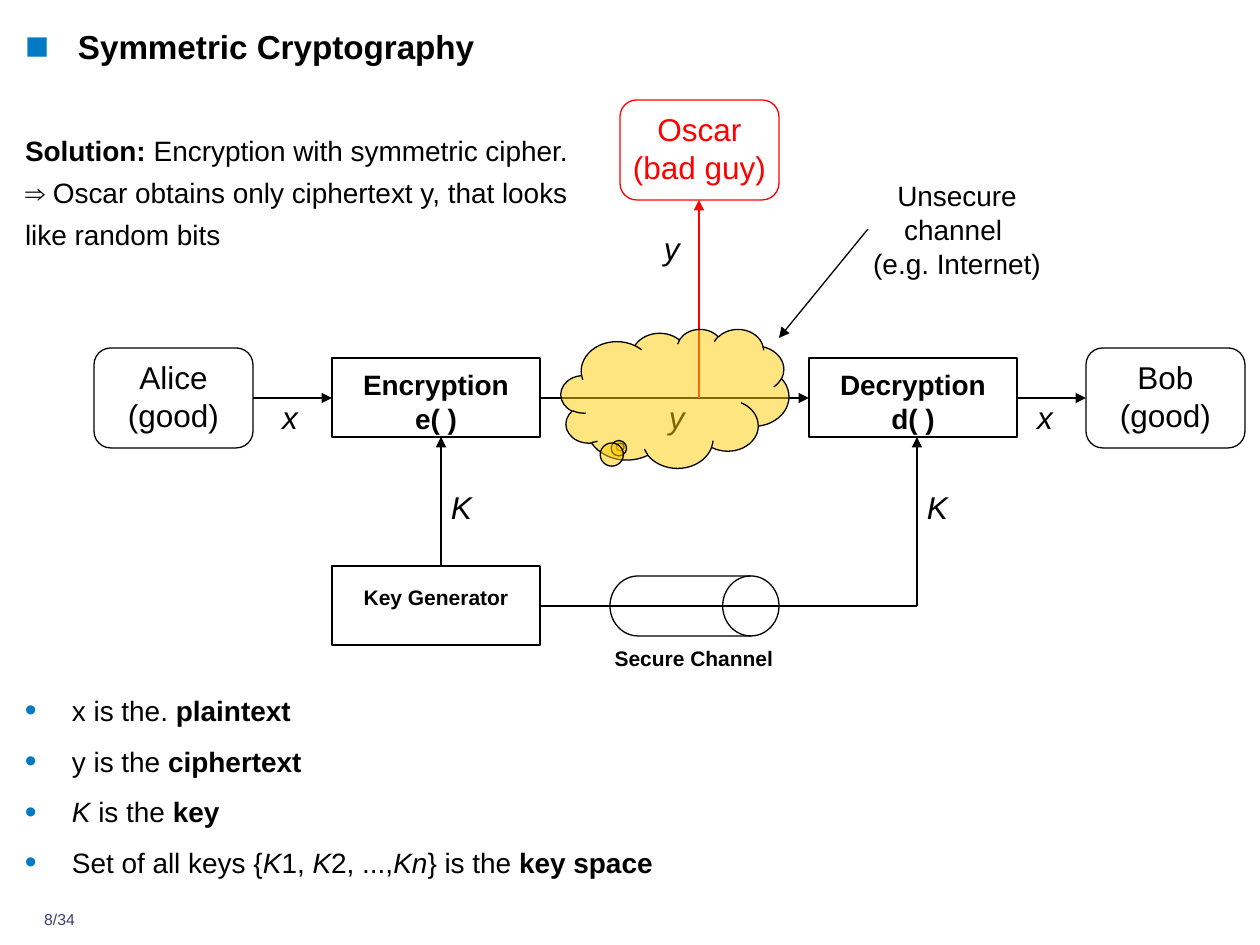
from lxml import etree
from pptx import Presentation
from pptx.dml.color import RGBColor
from pptx.enum.shapes import MSO_CONNECTOR, MSO_SHAPE
from pptx.enum.text import MSO_ANCHOR, PP_ALIGN
from pptx.oxml.ns import qn
from pptx.util import Emu, Pt

PX_PER_INCH = 126
FONT = "Arial"
BLACK, RED, BLUE, YELLOW, WHITE, NAVY = (
    "000000", "FF0000", "007AC2", "FFCC00", "FFFFFF", "394073")
LEFT, CENTER = PP_ALIGN.LEFT, PP_ALIGN.CENTER
ROUNDED, RECT = MSO_SHAPE.ROUNDED_RECTANGLE, MSO_SHAPE.RECTANGLE
DRUM, CLOUD = MSO_SHAPE.FLOWCHART_DIRECT_ACCESS_STORAGE, MSO_SHAPE.CLOUD_CALLOUT
STRAIGHT = MSO_CONNECTOR.STRAIGHT

# Text is a list of paragraphs, each a list of (text, style) runs;
# style holds "b" for bold and "i" for italic.
TITLE = [[("Symmetric Cryptography", "b")]]
SOLUTION = [[
    ("Solution:", "b"),
    (" Encryption with symmetric cipher. \v"
     "⇒ Oscar obtains only ciphertext y, that looks like random bits", ""),
]]
DEFINITIONS = [
    [("x is the. ", ""), ("plaintext", "b")],
    [("y is the ", ""), ("ciphertext", "b")],
    [("K", "i"), (" is the ", ""), ("key", "b")],
    [("Set of all keys {", ""), ("K", "i"), ("1, ", ""), ("K", "i"), ("2, ...,", ""),
     ("Kn", "i"), ("} is the ", ""), ("key space", "b")],
]

# (label, left, top, colour)
PEOPLE_SIZE = (159, 100)
PEOPLE = [
    ("Alice\v(good)", 94, 348, BLACK),
    ("Bob\v(good)", 1086, 348, BLACK),
    ("Oscar\v(bad guy)", 620, 100, RED),
]
# (label, left, top, label offset, label height, point size)
BLOCK_SIZE = (208, 79)
BLOCKS = [
    ("Encryption\ve( )", 332, 358, 10, 67, 16),
    ("Key Generator", 332, 566, 19, 25, 12),
    ("Decryption\vd( )", 809, 358, 10, 67, 16),
]
# (start, end, colour, has arrowhead)
FLOW_Y, KEY_Y, BLOCK_BOTTOM = 398, 606, 437
FLOWS = [
    ((253, FLOW_Y), (332, FLOW_Y), BLACK, True),
    ((540, FLOW_Y), (809, FLOW_Y), BLACK, True),
    ((1017, FLOW_Y), (1086, FLOW_Y), BLACK, True),
    ((699, FLOW_Y), (699, 200), RED, True),
    ((441, 566), (441, BLOCK_BOTTOM), BLACK, True),
    ((540, KEY_Y), (917, KEY_Y), BLACK, False),
    ((917, KEY_Y), (917, BLOCK_BOTTOM), BLACK, True),
]
CHANNEL_POINTER = ((868, 229), (779, 338), BLACK, True)
# (symbol, left, top, width)
SYMBOLS = [
    ("K", 451, 488, 40), ("x", 282, 398, 16), ("y", 669, 398, 16),
    ("K", 927, 488, 40), ("x", 1037, 398, 16), ("y", 664, 229, 16),
]

prs = Presentation()
prs.slide_width, prs.slide_height = Emu(9144000), Emu(6858000)
slide = prs.slides.add_slide(prs.slide_layouts[6])


def px(length):
    return Emu(round(length * 914400 / PX_PER_INCH))


def rgb(color):
    return RGBColor.from_string(color)


def add_bullet(paragraph, char, indent):
    props = paragraph._p.get_or_add_pPr()
    props.set("marL", str(px(indent)))
    props.set("indent", str(-px(indent)))
    color = etree.SubElement(props, qn("a:buClr"))
    etree.SubElement(color, qn("a:srgbClr"), val=BLUE)
    etree.SubElement(props, qn("a:buSzPct"), val="120000")
    etree.SubElement(props, qn("a:buFont"), typeface=FONT)
    etree.SubElement(props, qn("a:buChar"), char=char)


def add_text(paragraphs, box, size, color=BLACK, align=LEFT, spacing=None,
             before=None, bullet=None, wrap=True):
    """Add a text box; bullet is a (character, indent) pair."""
    frame = slide.shapes.add_textbox(*map(px, box)).text_frame
    frame.word_wrap = wrap
    frame.vertical_anchor = MSO_ANCHOR.TOP
    frame.margin_left = frame.margin_top = frame.margin_right = frame.margin_bottom = 0
    for index, runs in enumerate(paragraphs):
        paragraph = frame.paragraphs[0] if index == 0 else frame.add_paragraph()
        paragraph.alignment = align
        paragraph.line_spacing = spacing
        paragraph.space_before = before
        if bullet:
            add_bullet(paragraph, *bullet)
        font = paragraph.font
        font.name, font.size, font.color.rgb = FONT, Pt(size), rgb(color)
        for text, style in runs:
            for part, line in enumerate(text.split("\v")):
                if part:
                    paragraph.add_line_break()
                run = paragraph.add_run()
                run.text = line
                run.font.name, run.font.size = FONT, Pt(size)
                run.font.color.rgb = rgb(color)
                run.font.bold, run.font.italic = "b" in style, "i" in style


def add_outline(kind, box, line=BLACK, fill=None):
    shape = slide.shapes.add_shape(kind, *map(px, box))
    shape.shadow.inherit = False
    shape.line.color.rgb, shape.line.width = rgb(line), Pt(0.75)
    if fill:
        shape.fill.solid()
        shape.fill.fore_color.rgb = rgb(fill)
    else:
        shape.fill.background()
    return shape


def add_flow(start, end, color, arrow):
    flow = slide.shapes.add_connector(STRAIGHT, *map(px, start + end))
    flow.line.color.rgb, flow.line.width = rgb(color), Pt(0.75)
    if arrow:
        etree.SubElement(flow.line._get_or_add_ln(), qn("a:tailEnd"), type="triangle")
    etree.SubElement(flow._element.spPr, qn("a:effectLst"))


add_text(TITLE, (25, 26, 891, 71), 19, bullet=("■", 53))

for label, left, top, color in PEOPLE:
    add_outline(ROUNDED, (left, top, *PEOPLE_SIZE), color)
    add_text([[(label, "")]], (left + 10, top + 10, 139, 76), 18, color, CENTER)

for label, left, top, offset, height, size in BLOCKS:
    add_outline(RECT, (left, top, *BLOCK_SIZE))
    add_text([[(label, "b")]], (left, top + offset, BLOCK_SIZE[0], height), size,
             align=CENTER)

add_outline(DRUM, (610, 576, 169, 60), fill=WHITE)
add_text([[("Secure Channel", "b")]], (580, 646, 228, 25), 12, align=CENTER)

for flow in FLOWS:
    add_flow(*flow)

for symbol, left, top, width in SYMBOLS:
    add_text([[(symbol, "i")]], (left, top, width, 38), 18, wrap=False)

cloud = add_outline(CLOUD, (561, 329, 228, 139), fill=YELLOW)
cloud.adjustments[0], cloud.adjustments[1] = -0.24, 0.35
cloud_color = cloud._element.spPr.find(qn("a:solidFill"))[0]
etree.SubElement(cloud_color, qn("a:alpha"), val="50000")
add_flow(*CHANNEL_POINTER)
add_text([[("Unsecure channel \v(e.g. Internet)", "")]], (848, 179, 218, 101), 16,
         align=CENTER)

add_text(DEFINITIONS, (25, 685, 694, 194), 16, spacing=1.25, before=Pt(5),
         bullet=("•", 47))
add_text(SOLUTION, (25, 125, 561, 126), 16, spacing=1.25)
add_text([[("8/34", "")]], (25, 910, 69, 30), 9, NAVY, CENTER)

prs.save("out.pptx")
